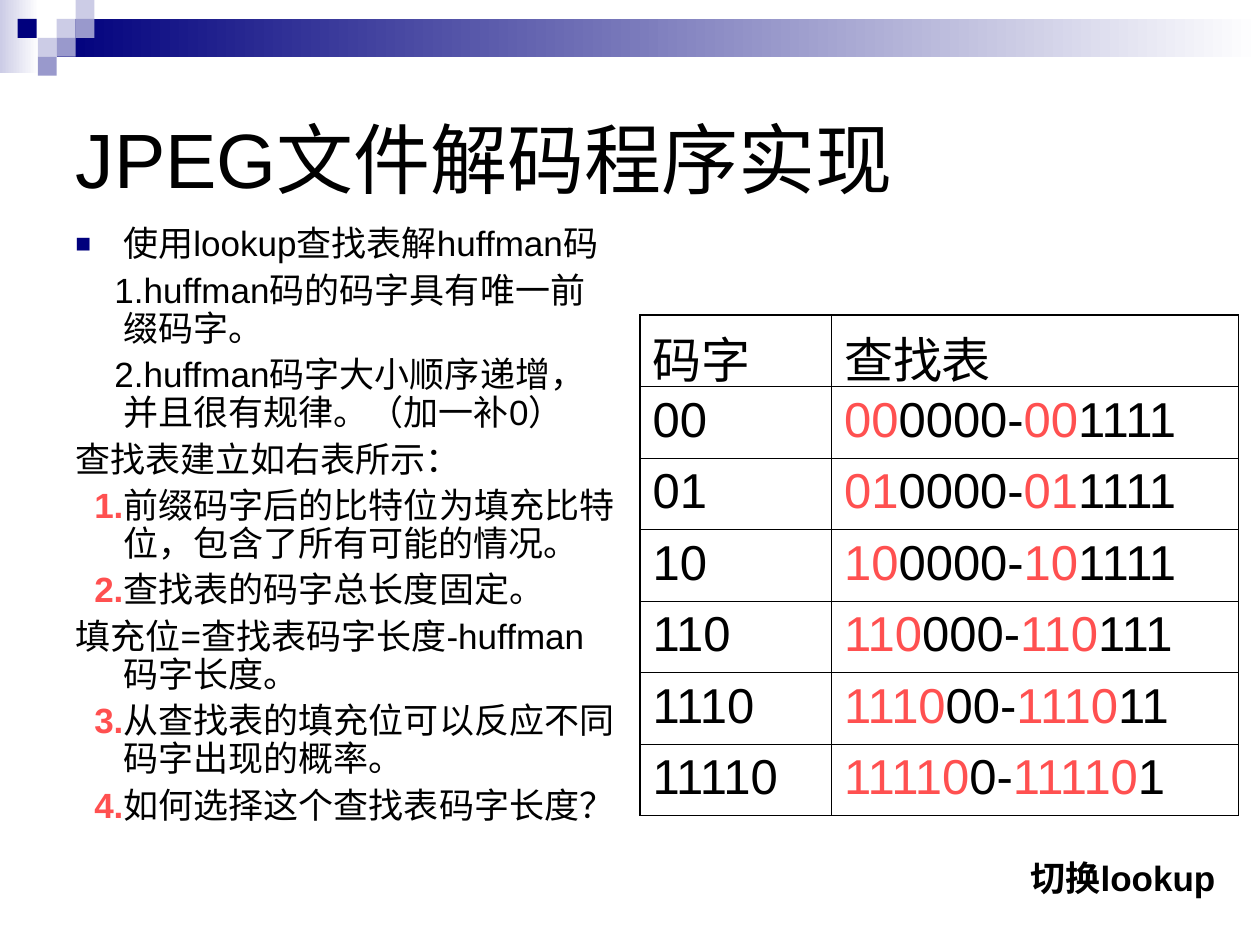
from dataclasses import dataclass
from typing import Optional

from lxml import etree
from pptx import Presentation
from pptx.dml.color import RGBColor
from pptx.enum.shapes import MSO_SHAPE
from pptx.enum.text import MSO_ANCHOR, MSO_AUTO_SIZE, PP_ALIGN
from pptx.oxml.ns import qn
from pptx.util import Inches, Pt

RECTANGLE = MSO_SHAPE.RECTANGLE
MIDDLE = MSO_ANCHOR.MIDDLE
LEFT = PP_ALIGN.LEFT
NO_AUTOFIT = MSO_AUTO_SIZE.NONE
GROW = MSO_AUTO_SIZE.SHAPE_TO_FIT_TEXT

BLACK = RGBColor(0x00, 0x00, 0x00)
WHITE = RGBColor(0xFF, 0xFF, 0xFF)
NAVY = RGBColor(0x00, 0x00, 0x7D)
LAVENDER = RGBColor(0xCC, 0xCC, 0xE6)
PERIWINKLE = RGBColor(0x99, 0x99, 0xCC)
RED = RGBColor(0xFF, 0x50, 0x50)

FONT = "Arial"
SQUARE = 0.15
HANGING = 0.38
LOOKUP_BITS = 6
OUTER_LINE = Pt(1.08)
INNER_LINE = Pt(0.45)


@dataclass
class Block:
    left: float
    top: float
    width: float
    height: float
    color: RGBColor
    fade: Optional[RGBColor] = None


@dataclass
class Point:
    text: str
    first_line: float = 0
    number: str = ""
    bullet: bool = False


HEADER_BLOCKS = [
    Block(0, 0, 0.31, 0.58, LAVENDER, WHITE),
    Block(0.45, 0.15, 9.55, 0.3, NAVY, WHITE),
] + [
    Block(left, top, SQUARE, SQUARE, color)
    for left, top, color in [
        (0.45, 0.15, LAVENDER),
        (0.6, 0, LAVENDER),
        (0.6, 0.15, PERIWINKLE),
        (0.3, 0.3, LAVENDER),
        (0.14, 0.15, NAVY),
        (0.45, 0.3, PERIWINKLE),
        (0.3, 0.45, PERIWINKLE),
    ]
]

POINTS = [
    Point("使用lookup查找表解huffman码", bullet=True),
    Point("1.huffman码的码字具有唯一前缀码字。", 0.31),
    Point("2.huffman码字大小顺序递增，并且很有规律。（加一补0）", 0.31),
    Point("查找表建立如右表所示："),
    Point("前缀码字后的比特位为填充比特位，包含了所有可能的情况。", 0.15, "1."),
    Point("查找表的码字总长度固定。", 0.15, "2."),
    Point("填充位=查找表码字长度-huffman码字长度。"),
    Point("从查找表的填充位可以反应不同码字出现的概率。", 0.15, "3."),
    Point("如何选择这个查找表码字长度？", 0.15, "4."),
]

CODE_WORDS = ["00", "01", "10", "110", "1110", "11110"]


def add_span(para, text: str, *, size: float, color: RGBColor = BLACK, bold: bool = False) -> None:
    span = para.add_run()
    span.text = text
    span.font.name = FONT
    span.font.size = Pt(size)
    span.font.bold = bold
    span.font.color.rgb = color


def add_block(page, block: Block) -> None:
    shape = page.shapes.add_shape(
        RECTANGLE, Inches(block.left), Inches(block.top), Inches(block.width), Inches(block.height)
    )
    shape.shadow.inherit = False
    shape.line.fill.background()
    if block.fade is None:
        shape.fill.solid()
        shape.fill.fore_color.rgb = block.color
        return
    shape.fill.gradient()
    shape.fill.gradient_angle = 0
    for stop, color in zip(shape.fill.gradient_stops, (block.color, block.fade)):
        stop.color.rgb = color


def add_title(page, text: str) -> None:
    title = page.shapes.title
    title.left, title.top = Inches(0.5), Inches(0.5)
    title.width, title.height = Inches(9), Inches(1.5)
    frame = title.text_frame
    frame.auto_size = NO_AUTOFIT
    frame.vertical_anchor = MIDDLE
    para = frame.paragraphs[0]
    para.alignment = LEFT
    add_span(para, text, size=44)


def set_indent(para, point: Point) -> None:
    properties = para._p.get_or_add_pPr()
    properties.set("marL", str(Inches(HANGING)))
    properties.set("indent", str(Inches(point.first_line - HANGING)))
    if point.bullet:
        color = etree.SubElement(properties, qn("a:buClr"))
        etree.SubElement(color, qn("a:srgbClr"), val=str(NAVY))
        etree.SubElement(properties, qn("a:buSzPct"), val="75000")
        etree.SubElement(properties, qn("a:buFont"), typeface=FONT)
        etree.SubElement(properties, qn("a:buChar"), char="■")
    else:
        etree.SubElement(properties, qn("a:buNone"))


def add_points(page, points: list[Point]) -> None:
    box = page.shapes.add_textbox(Inches(0.5), Inches(1.75), Inches(4.5), Inches(5.17))
    frame = box.text_frame
    frame.word_wrap = True
    for index, point in enumerate(points):
        para = frame.add_paragraph() if index else frame.paragraphs[0]
        para.line_spacing = 0.9
        para.space_before = Pt(5)
        set_indent(para, point)
        if point.number:
            add_span(para, point.number, size=20, color=RED, bold=True)
        add_span(para, point.text, size=20)


def set_borders(cell, widths: dict[str, int]) -> None:
    properties = cell._tc.get_or_add_tcPr()
    for side, width in widths.items():
        line = etree.SubElement(properties, qn(f"a:ln{side}"), w=str(width))
        fill = etree.SubElement(line, qn("a:solidFill"))
        etree.SubElement(fill, qn("a:srgbClr"), val=str(BLACK))


def lookup_spans(code: str) -> list[tuple[str, RGBColor]]:
    padding = LOOKUP_BITS - len(code)
    return [(code, RED), ("0" * padding + "-", BLACK), (code, RED), ("1" * padding, BLACK)]


def add_lookup_table(page, codes: list[str]) -> None:
    rows = [[[("码字", BLACK)], [("查找表", BLACK)]]]
    rows += [[[(code, BLACK)], lookup_spans(code)] for code in codes]
    table = page.shapes.add_table(
        len(rows), 2, Inches(5.08), Inches(2.5), Inches(4.75), Inches(3.97)
    ).table
    table.first_row = False
    table.horz_banding = False
    for column, width in zip(table.columns, (1.52, 3.23)):
        column.width = Inches(width)
    for row_index, row in enumerate(rows):
        for column_index, spans in enumerate(row):
            cell = table.cell(row_index, column_index)
            outer_sides = {
                "L": column_index == 0,
                "R": column_index == 1,
                "T": row_index == 0,
                "B": row_index == len(rows) - 1,
            }
            set_borders(
                cell,
                {side: OUTER_LINE if outer else INNER_LINE for side, outer in outer_sides.items()},
            )
            cell.fill.background()
            para = cell.text_frame.paragraphs[0]
            para.space_before = Pt(7)
            for text, color in spans:
                add_span(para, text, size=28, color=color)


def add_switch_label(page, text: str) -> None:
    box = page.shapes.add_textbox(Inches(8.08), Inches(6.75), Inches(1.92), Inches(0.44))
    frame = box.text_frame
    frame.word_wrap = True
    frame.auto_size = GROW
    para = frame.paragraphs[0]
    para.space_before = Pt(12.5)
    add_span(para, text, size=20, bold=True)


def main() -> None:
    deck = Presentation()
    deck.slide_width, deck.slide_height = Inches(10), Inches(7.5)
    page = deck.slides.add_slide(deck.slide_layouts.get_by_name("Title Only"))
    for block in HEADER_BLOCKS:
        add_block(page, block)
    add_title(page, "JPEG文件解码程序实现")
    add_points(page, POINTS)
    add_lookup_table(page, CODE_WORDS)
    add_switch_label(page, "切换lookup")
    deck.save("out.pptx")


if __name__ == "__main__":
    main()
